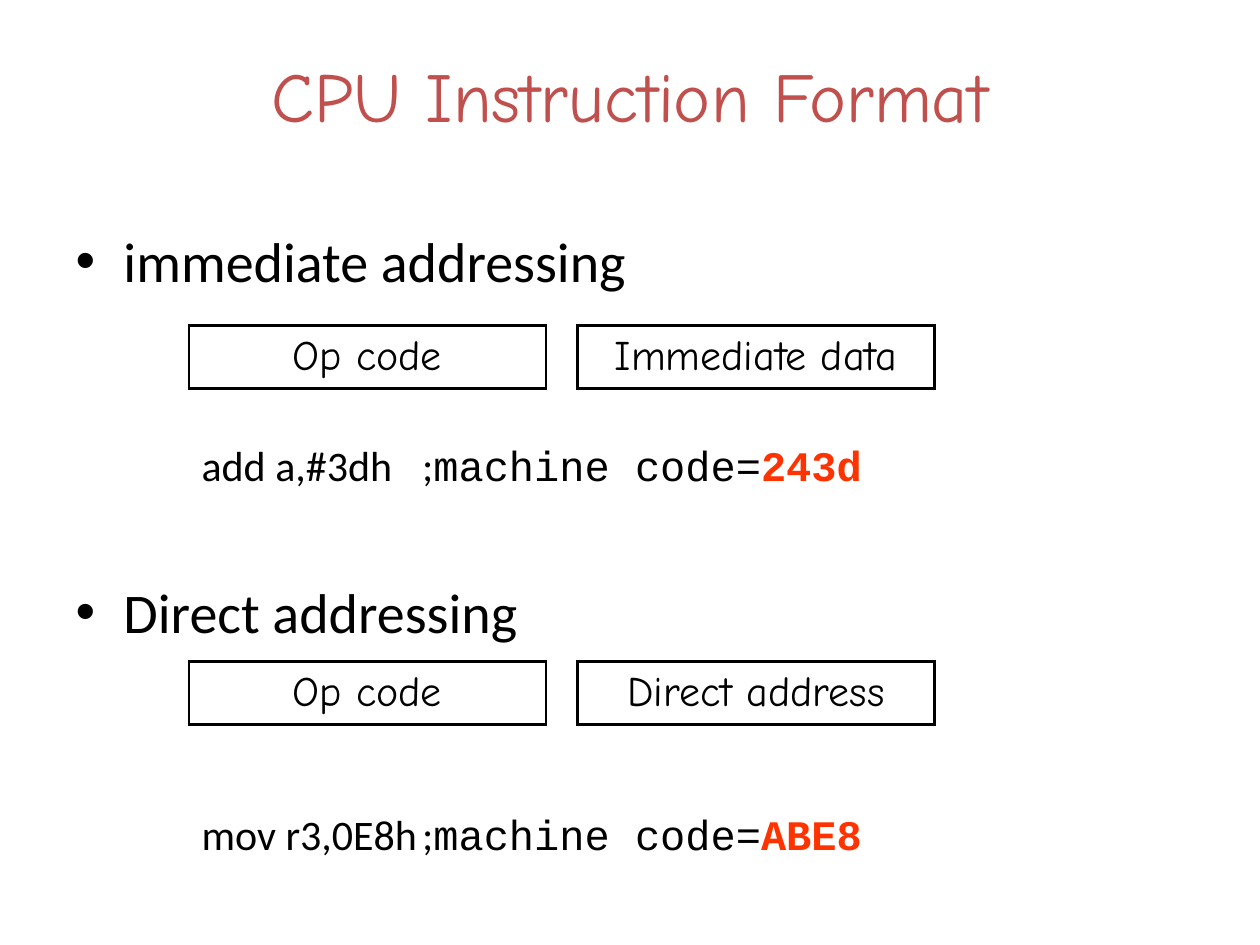
from dataclasses import dataclass

from lxml.etree import SubElement
from pptx import Presentation
from pptx.dml.color import RGBColor
from pptx.enum.text import MSO_ANCHOR, MSO_AUTO_SIZE, PP_ALIGN
from pptx.oxml.ns import qn
from pptx.util import Inches, Pt

BLACK = RGBColor(0x00, 0x00, 0x00)
TITLE_RED = RGBColor(0xC0, 0x50, 0x4D)
CODE_RED = RGBColor(0xFF, 0x33, 0x00)

UNIT = Inches(1) // 12
FIELD_COLS = (18, 55)
FIELD_WIDTH, FIELD_HEIGHT = 34, 6

TITLE = dict(name="Comic Neue", size=Pt(40), color=TITLE_RED)
FIELD = dict(name="Comic Neue", size=Pt(24), color=BLACK)
HEADING = dict(name="Calibri", size=Pt(32), color=BLACK)
ASM = dict(name="Calibri", size=Pt(24), color=BLACK)
COMMENT = dict(name="Courier New", size=Pt(24), color=BLACK)
MACHINE = dict(name="Courier New", size=Pt(24), color=CODE_RED, bold=True)


@dataclass
class Mode:
    heading: str
    operand: str
    asm: str
    machine: str
    row: int
    before: int
    code_before: int
    tab: float


MODES = [
    Mode("immediate addressing", "Immediate data", "add a,#3dh", "243d", 31, 0, 83, 3.27),
    Mode("Direct addressing", "Direct address", "mov r3,0E8h", "ABE8", 63, 50, 94, 3.31),
]


def place(sp, col: float, row: float, width: float, height: float) -> None:
    box = dict(left=col, top=row, width=width, height=height)
    for key, value in box.items():
        setattr(sp, key, round(value * UNIT))


def add_run(p, text: str, style: dict) -> None:
    r = p.add_run()
    r.text = text
    for key, value in style.items():
        if key == "color":
            r.font.color.rgb = value
        else:
            setattr(r.font, key, value)


def add_field(s, text: str, col: int, row: int) -> None:
    box = [n * UNIT for n in (col, row, FIELD_WIDTH, FIELD_HEIGHT)]
    table = s.shapes.add_table(1, 1, *box).table
    table.first_row = table.horz_banding = False
    cell = table.cell(0, 0)
    tcPr = cell._tc.get_or_add_tcPr()
    for side in ("a:lnL", "a:lnR", "a:lnT", "a:lnB"):
        ln = SubElement(tcPr, qn(side), w=str(Pt(1.5)))
        fill = SubElement(ln, qn("a:solidFill"))
        SubElement(fill, qn("a:srgbClr"), val=str(BLACK))
    cell.fill.background()
    cell.vertical_anchor = MSO_ANCHOR.MIDDLE
    p = cell.text_frame.paragraphs[0]
    p.alignment = PP_ALIGN.CENTER
    add_run(p, text, FIELD)


def set_indent(p, margin: float, first: float) -> None:
    pPr = p._p.get_or_add_pPr()
    pPr.set("marL", str(Inches(margin)))
    pPr.set("indent", str(Inches(first)))


def add_heading(p, mode: Mode) -> None:
    set_indent(p, 0.38, -0.38)
    SubElement(p._p.get_or_add_pPr(), qn("a:buChar"), char="•")
    p.space_before = Pt(mode.before)
    add_run(p, mode.heading, HEADING)


def add_code(p, mode: Mode) -> None:
    p.level = 2
    set_indent(p, 1.25, -0.25)
    pPr = p._p.get_or_add_pPr()
    SubElement(pPr, qn("a:buNone"))
    tabs = SubElement(pPr, qn("a:tabLst"))
    SubElement(tabs, qn("a:tab"), pos=str(Inches(mode.tab)), algn="l")
    p.space_before = Pt(mode.code_before)
    add_run(p, f"{mode.asm}\t;", ASM)
    add_run(p, "machine code=", COMMENT)
    add_run(p, mode.machine, MACHINE)


def main() -> None:
    prs = Presentation()
    prs.slide_width, prs.slide_height = Inches(10), Inches(7.5)
    s = prs.slides.add_slide(prs.slide_layouts[1])
    title, body = s.placeholders
    place(title, 9, 4, 102, 10)
    place(body, 6, 21, 108, 59.4)
    for sp in (title, body):
        sp.text_frame.auto_size = MSO_AUTO_SIZE.NONE
    p = title.text_frame.paragraphs[0]
    p.alignment = PP_ALIGN.CENTER
    add_run(p, "CPU Instruction Format", TITLE)

    tf = body.text_frame
    for i, mode in enumerate(MODES):
        add_heading(tf.add_paragraph() if i else tf.paragraphs[0], mode)
        add_code(tf.add_paragraph(), mode)
        for text, col in zip(("Op code", mode.operand), FIELD_COLS):
            add_field(s, text, col, mode.row)
    prs.save("out.pptx")


if __name__ == "__main__":
    main()
